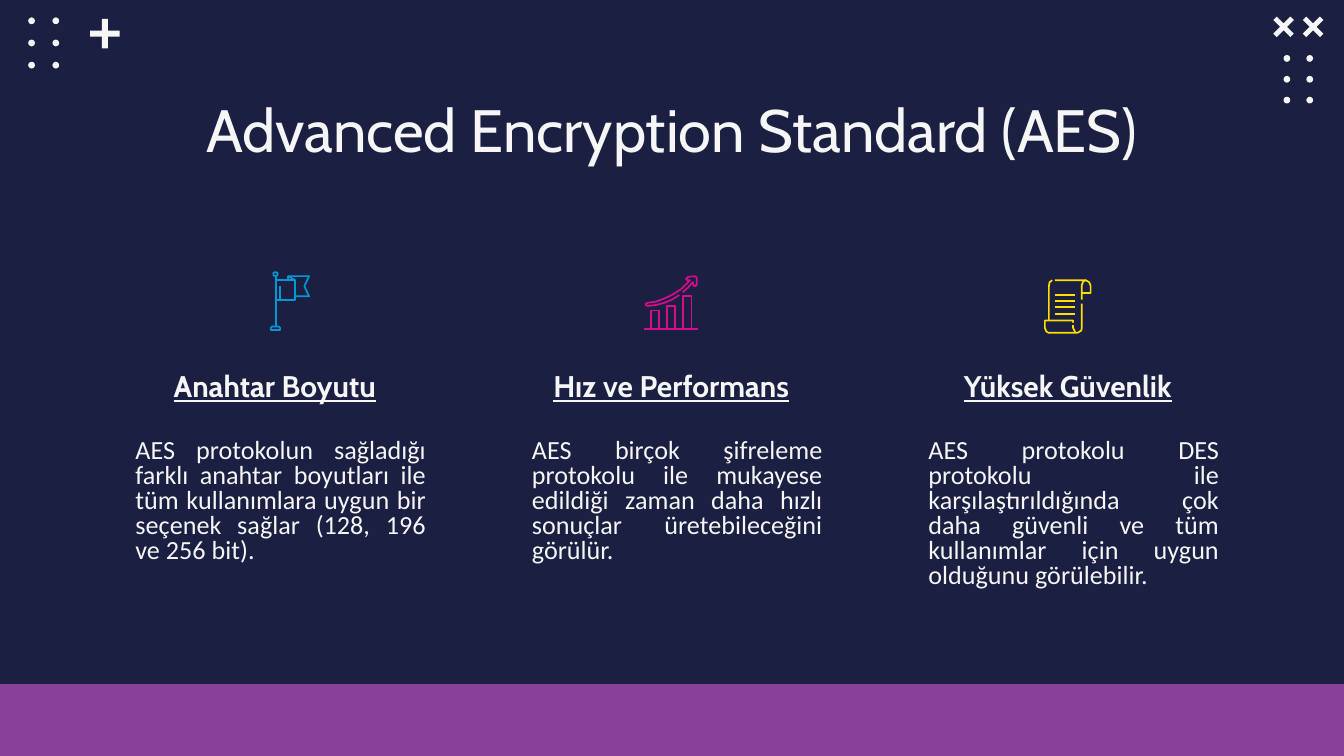
from pptx import Presentation
from pptx.dml.color import RGBColor
from pptx.enum.shapes import MSO_SHAPE
from pptx.enum.text import MSO_ANCHOR, PP_ALIGN
from pptx.util import Inches, Pt

OVAL, CROSS, RECT = MSO_SHAPE.OVAL, MSO_SHAPE.CROSS, MSO_SHAPE.RECTANGLE
TOP = MSO_ANCHOR.TOP
CENTER, JUSTIFY = PP_ALIGN.CENTER, PP_ALIGN.JUSTIFY

# Content
TITLE = "Advanced Encryption Standard (AES)"
TOPICS = [
    ("Anahtar Boyutu",
     "AES protokolun sağladığı farklı anahtar boyutları ile tüm kullanımlara "
     "uygun bir seçenek sağlar (128, 196 ve 256 bit)."),
    ("Hız ve Performans",
     "AES birçok şifreleme protokolu ile mukayese edildiği zaman daha hızlı "
     "sonuçlar üretebileceğini görülür."),
    ("Yüksek Güvenlik",
     "AES protokolu DES protokolu ile karşılaştırıldığında çok daha güvenli "
     "ve tüm kullanımlar için uygun olduğunu görülebilir."),
]

THEME = {
    "back": "1B1F42", "ink": "F6F6F6", "band": "883F98",
    "flag": "0397D6", "chart": "D80C8C", "scroll": "FFDE00",
    "head": "Cabin", "body": "Calibri",
    "title": 32, "sub": 16, "text": 14, "line": 0.9,
}

# Grid, in inches; the slide is 16:9
WIDE = 10
HIGH = WIDE * 9 / 16
LEFT, PITCH = 0.91, 2.95
SUB_ROW, TEXT_ROW, BAND_ROW = 2.69, 3.17, 5.09
UNIT = 0.01  # one step of the icon drawings


def box(x0, y0, x1, y1):
    return [(x0, y0), (x1, y0), (x1, y1), (x0, y1), (x0, y0)]


# Icons: colour name, left, top, strokes in icon units
FLAG = [
    [(4, 0.5), (5.5, 1), (5.5, 3), (4, 3.5), (2.5, 3), (2.5, 1), (4, 0.5)],
    [(4.5, 4), (4.5, 41)],
    [(0.5, 43.5), (0.5, 42), (1.5, 41), (6.5, 41), (7.5, 42), (7.5, 43.5),
     (0.5, 43.5)],
    box(4.5, 6.5, 18.5, 21.5),
    [(7.5, 10.5), (7.5, 21.5)],
    [(18.5, 6.5), (13.5, 3.5), (29, 3.5), (25.5, 11), (29, 18.5),
     (18.5, 18.5)],
    [(13.5, 3.5), (13.5, 6.5)],
]
CHART = [
    [(0.5, 40), (40.5, 40)],
    [(26.5, 14.5), (21, 18), (15, 20.5), (9, 22), (3, 22.7), (1.5, 22),
     (1.5, 21), (3, 20.3), (9, 19.5), (14.5, 17.5), (21, 14.5), (28, 10),
     (34.5, 3.5), (32.5, 3.5), (31.5, 2.5), (33, 1), (38, 0.5), (39.5, 1.5),
     (39.5, 6.5), (38.5, 8), (37, 7.5), (36.5, 5), (33, 9), (29, 12.5)],
] + [box(x, y, x + 6, 40) for x, y in [(5.5, 26), (17.5, 22.5), (29.5, 15.5)]]
SCROLL = [
    [(6, 0.5), (4, 2), (3.5, 5), (3.5, 30.5)],
    [(21.5, 32), (21.5, 30.5), (0.5, 30.5), (0.5, 36), (1.5, 38.5), (3, 39.5),
     (25, 39.5), (27.5, 38), (28, 36), (28, 18)],
    [(21.5, 34), (21.5, 36), (23, 39)],
    [(8, 0.5), (31, 0.5), (33.5, 2), (34.5, 4.5), (34.5, 10), (28, 10)],
    [(31, 0.5), (29, 1.5), (28, 4), (28, 15)],
] + [[(8, y), (23, y)] for y in (11.5, 16, 20.5, 25.5)]
ICONS = [("flag", 2.01, 2.02, FLAG), ("chart", 4.79, 2.05, CHART),
         ("scroll", 7.77, 2.08, SCROLL)]

# Corner marks: dot grids (left, top, width, height) and crosses
DOTS = [(0.21, 0.13, 0.18, 0.33), (9.55, 0.41, 0.17, 0.31)]
DOT = 0.05
MARKS = [(0.78, 0.25, 0.22, 0), (9.55, 0.2, 0.18, 45), (9.77, 0.2, 0.18, 45)]

deck = Presentation()
deck.slide_width, deck.slide_height = Inches(WIDE), Inches(HIGH)
slide = deck.slides.add_slide(deck.slide_layouts[6])
parts = slide.shapes


def tint(name):
    return RGBColor.from_string(THEME[name])


def add_form(kind, x, y, w, h, color="ink"):
    form = parts.add_shape(kind, *map(Inches, (x, y, w, h)))
    form.shadow.inherit = False
    form.fill.solid()
    form.fill.fore_color.rgb = tint(color)
    form.line.fill.background()
    return form


def add_text(text, x, y, w, h, *, size, font="head", align=CENTER,
             bold=False, under=False, space=1.0, after=0):
    frame = parts.add_textbox(*map(Inches, (x, y, w, h))).text_frame
    frame.word_wrap = True
    frame.vertical_anchor = TOP
    frame.margin_left = frame.margin_right = Inches(0.1)
    frame.margin_top = frame.margin_bottom = Inches(0.1)
    para = frame.paragraphs[0]
    para.alignment, para.line_spacing = align, space
    para.space_after = Pt(after)
    run = para.add_run()
    run.text = text
    style = run.font
    style.name, style.size = THEME[font], Pt(THEME[size])
    style.bold, style.underline = bold, under
    style.color.rgb = tint("ink")


def add_icon(color, left, top, strokes):
    path = None
    for stroke in strokes:
        spots = [(Inches(left + x * UNIT), Inches(top + y * UNIT))
                 for x, y in stroke]
        if path is None:
            path = parts.build_freeform(*spots[0])
        else:
            path.move_to(*spots[0])
        path.add_line_segments(spots[1:], close=False)
    icon = path.convert_to_shape()
    icon.shadow.inherit = False
    icon.fill.background()
    icon.line.color.rgb = tint(color)
    icon.line.width = Pt(THEME["line"])


# Background, band and corner marks
slide.background.fill.solid()
slide.background.fill.fore_color.rgb = tint("back")
for x, y, w, h in DOTS:
    for i in range(6):
        add_form(OVAL, x + i % 2 * w, y + i // 2 * h / 2, DOT, DOT)
for x, y, size, turn in MARKS:
    mark = add_form(CROSS, x - size / 2, y - size / 2, size, size)
    mark.adjustments[0] = 0.4
    mark.rotation = turn
add_form(RECT, 0, BAND_ROW, WIDE, HIGH - BAND_ROW, "band")

# Title and three columns
add_text(TITLE, 0.78, 0.59, 8.44, 0.74, size="title")
for col, (name, text) in enumerate(TOPICS):
    x = LEFT + col * PITCH
    add_text(name, x + 0.03, SUB_ROW, 2.21, 0.37, size="sub", bold=True,
             under=True, space=0.8, after=16)
    add_text(text, x, TEXT_ROW, 2.36, 0.97, size="text", font="body",
             align=JUSTIFY, space=0.8, after=16)

# Icons
for icon in ICONS:
    add_icon(*icon)

deck.save("out.pptx")
